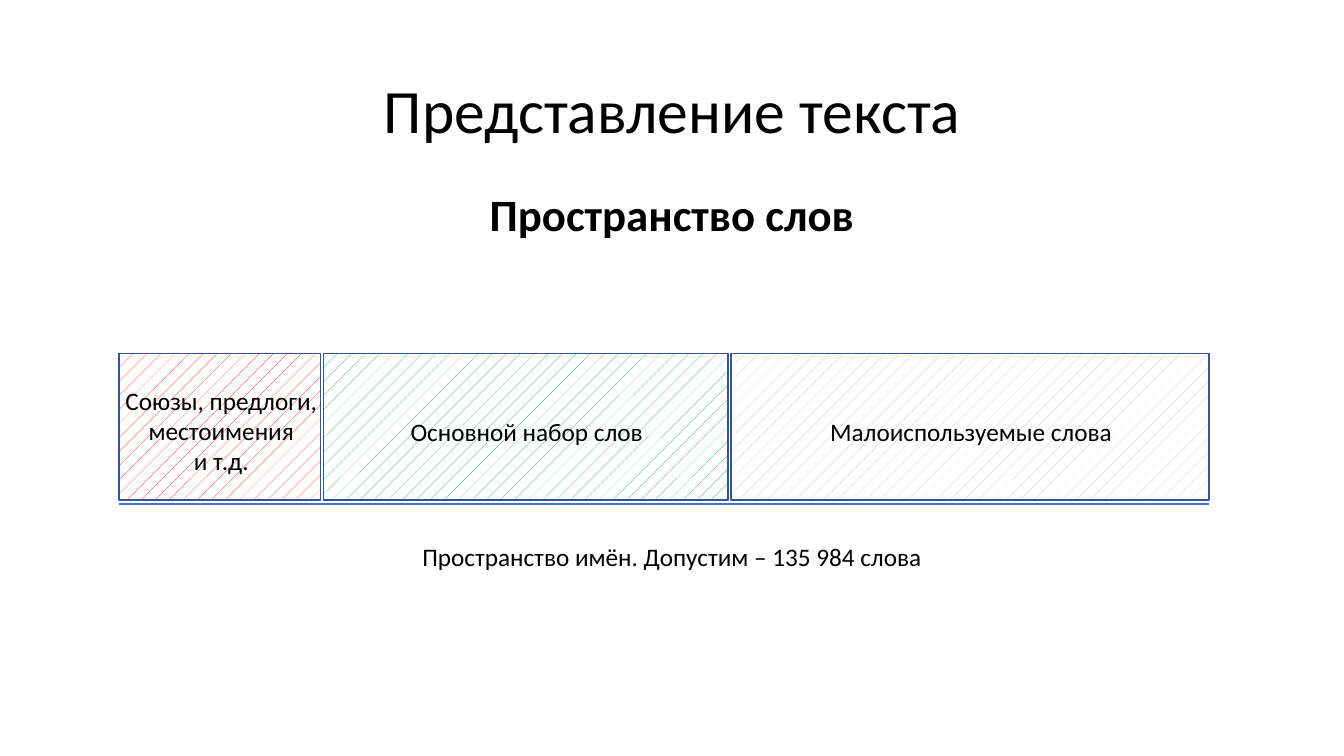
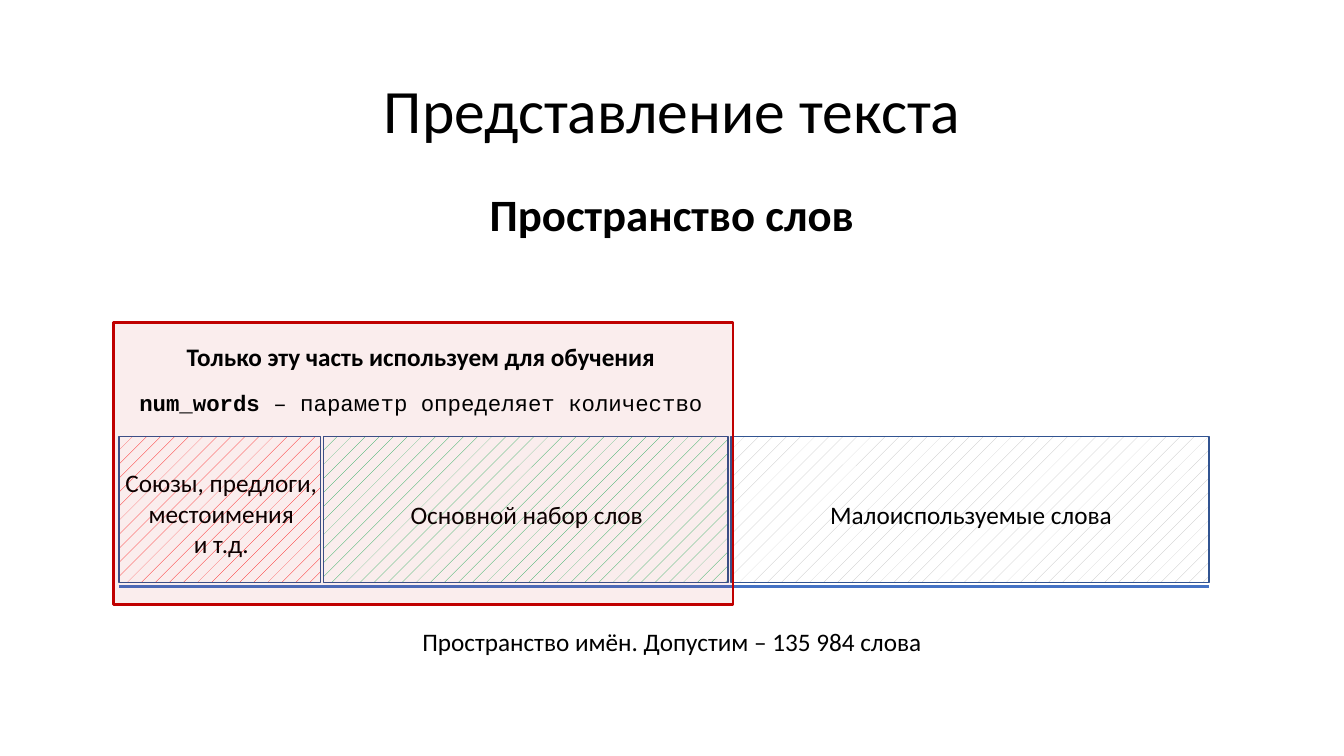
from lxml import etree
from pptx import Presentation
from pptx.dml.color import RGBColor
from pptx.enum.dml import MSO_PATTERN
from pptx.enum.shapes import MSO_CONNECTOR, MSO_SHAPE
from pptx.enum.text import MSO_ANCHOR, MSO_AUTO_SIZE, PP_ALIGN
from pptx.oxml.ns import qn
from pptx.util import Inches, Pt

BLACK, WHITE, BLUE, NAVY, RED = "000000", "FFFFFF", "4472C4", "325491", "C00000"
BODY, CODE = "Calibri", "Courier New"
BAR_LEFT, BAR_RIGHT, BAR_HEIGHT, GAP = 1.18, 11.99, 1.45, 0.03

# Each segment: width, pattern colour, label place (left, drop, width, height), label paragraphs
SEGMENTS = [
    (2, "FF0000", (1.13, 0.26, 2.13, 1.01),
     ["Союзы, предлоги,\nместоимения", "и т.д."]),
    (4.01, "00B050", (3.96, 0.57, 2.53, 0.4), ["Основной набор слов"]),
    (4.74, "BFBFBF", (8.12, 0.57, 3.02, 0.4), ["Малоиспользуемые слова"]),
]


def color(value):
    """Turn a hex string into a colour."""
    return RGBColor.from_string(value)


def add_text(page, place, paragraphs, wrap=False, space_before=0):
    """Add a centred text box; each paragraph lists (text, size, bold, font) runs."""
    box = page.shapes.add_textbox(*map(Inches, place))
    frame = box.text_frame
    frame.word_wrap = wrap
    frame.auto_size = MSO_AUTO_SIZE.NONE if wrap else MSO_AUTO_SIZE.SHAPE_TO_FIT_TEXT
    for index, runs in enumerate(paragraphs):
        para = frame.paragraphs[0] if index == 0 else frame.add_paragraph()
        para.alignment = PP_ALIGN.CENTER
        para.space_before = Pt(space_before)
        for text, size, bold, font in runs:
            for number, line in enumerate(text.split("\n")):
                if number:
                    para.add_line_break()
                span = para.add_run()
                span.text = line
                span.font.size, span.font.bold, span.font.name = Pt(size), bold, font
                span.font.color.rgb = color(BLACK)
    return frame


deck = Presentation()
deck.slide_width, deck.slide_height = Inches(13.33), Inches(7.5)

# Both slides show the same word bar at different heights
for bar_top, caption_top in [(3.51, 5.32), (4.33, 6.16)]:
    page = deck.slides.add_slide(deck.slide_layouts[6])
    title = add_text(page, (0.92, 0.4, 11.5, 1.45),
                     [[("Представление текста", 44, False, BODY)]], wrap=True)
    title.vertical_anchor = MSO_ANCHOR.MIDDLE
    title.paragraphs[0].line_spacing = 0.9
    add_text(page, (4.74, 1.8, 3.85, 0.64), [[("Пространство слов", 32, True, BODY)]])

    line_top = Inches(bar_top + 1.49)
    baseline = page.shapes.add_connector(
        MSO_CONNECTOR.STRAIGHT, Inches(BAR_LEFT), line_top, Inches(BAR_RIGHT), line_top)
    baseline.line.color.rgb = color(BLUE)
    baseline.line.width = Pt(2)
    etree.SubElement(baseline._element.spPr, qn("a:effectLst"))
    add_text(page, (4.06, caption_top, 5.21, 0.4),
             [[("Пространство имён. Допустим – 135 984 слова", 18, False, BODY)]])

    left = BAR_LEFT
    for width, tint, _, _ in SEGMENTS:
        segment = page.shapes.add_shape(MSO_SHAPE.RECTANGLE, Inches(left), Inches(bar_top),
                                        Inches(width), Inches(BAR_HEIGHT))
        segment.shadow.inherit = False
        segment.fill.patterned()
        segment.fill.pattern = MSO_PATTERN.PERCENT_5
        segment.fill.fore_color.rgb = color(tint)
        segment.fill.back_color.rgb = color(WHITE)
        segment.line.color.rgb = color(NAVY)
        segment.line.width = Pt(1)
        left += width + GAP
    for _, _, (label_left, drop, width, height), lines in SEGMENTS:
        add_text(page, (label_left, bar_top + drop, width, height),
                 [[(line, 18, False, BODY)] for line in lines])

# The last slide marks the part used for training
frame_box = page.shapes.add_shape(MSO_SHAPE.RECTANGLE, Inches(1.13), Inches(3.2),
                                  Inches(6.14), Inches(2.8))
frame_box.shadow.inherit = False
frame_box.fill.solid()
frame_box.fill.fore_color.rgb = color(RED)
fill_color = frame_box._element.spPr.find(qn("a:solidFill")).find(qn("a:srgbClr"))
etree.SubElement(fill_color, qn("a:alpha")).set("val", "7000")
frame_box.line.color.rgb = color(RED)
frame_box.line.width = Pt(2)
add_text(page, (1.24, 3.34, 5.87, 0.84), [
    [("Только эту часть используем для обучения", 18, True, BODY)],
    [("num_words", 16, True, CODE),
     (" – параметр определяет количество", 16, False, CODE)],
], space_before=12)

deck.save("out.pptx")
